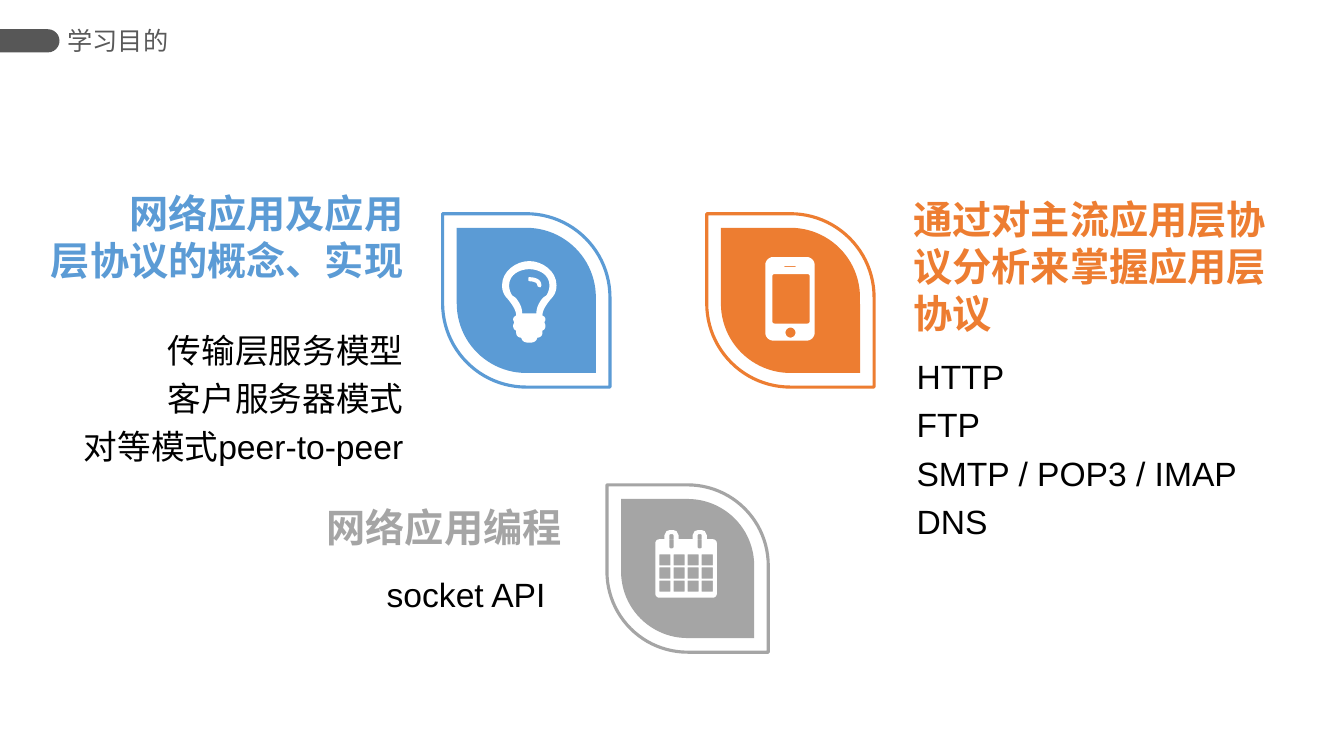
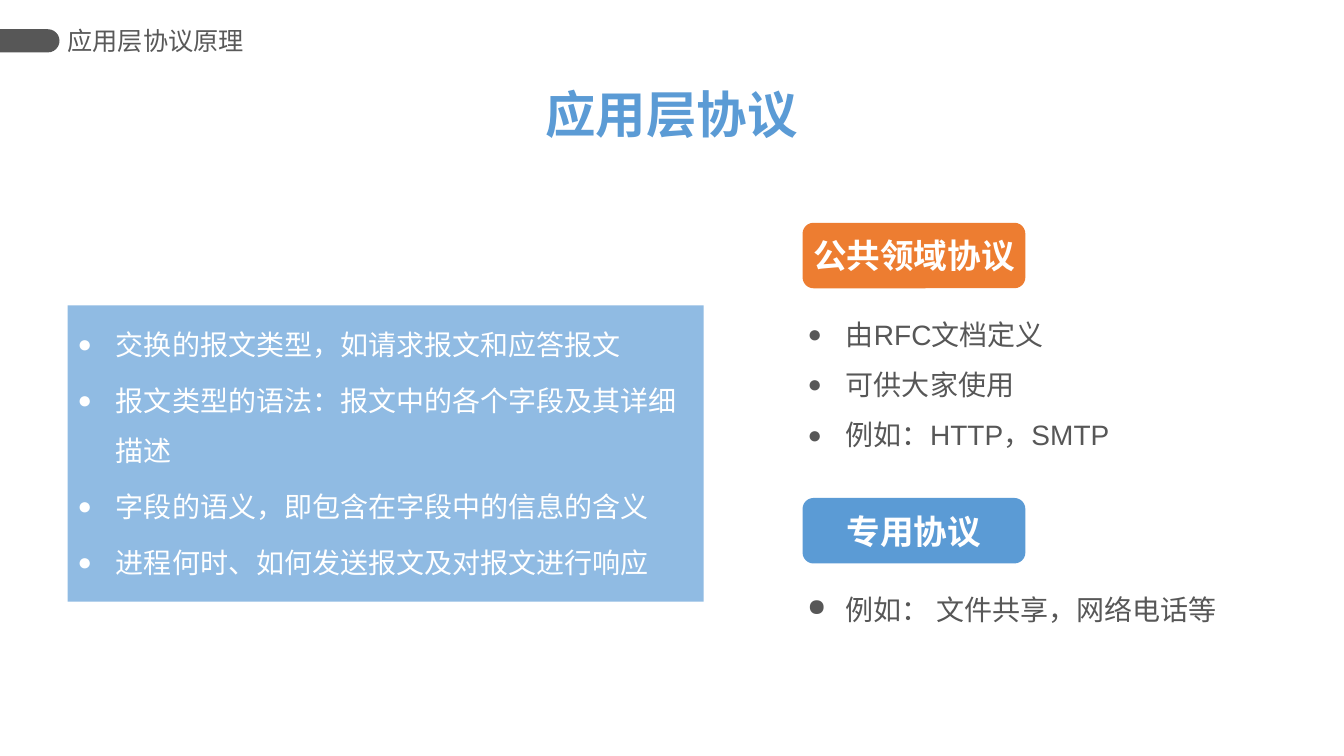
from lxml import etree
from pptx import Presentation
from pptx.dml.color import RGBColor
from pptx.enum.lang import MSO_LANGUAGE_ID
from pptx.enum.shapes import MSO_SHAPE
from pptx.enum.text import MSO_ANCHOR, MSO_AUTO_SIZE, PP_ALIGN
from pptx.oxml.ns import qn
from pptx.util import Inches, Pt
from math import cos, pi, sin

LEFT, MID, RIGHT = PP_ALIGN.LEFT, PP_ALIGN.CENTER, PP_ALIGN.RIGHT
TOP, CENTER, BOTTOM = MSO_ANCHOR.TOP, MSO_ANCHOR.MIDDLE, MSO_ANCHOR.BOTTOM
LEAF = MSO_SHAPE.ROUND_2_DIAG_RECTANGLE
BAND = MSO_SHAPE.ROUND_2_SAME_RECTANGLE
PILL = MSO_SHAPE.ROUNDED_RECTANGLE
CHINESE = MSO_LANGUAGE_ID.SIMPLIFIED_CHINESE


class Theme:
    font = "Arial"
    blue, orange, gray = "5B9BD5", "ED7D31", "A5A5A5"
    pale, white, black = "90BBE3", "FFFFFF", "000000"
    dark, title = "575757", "595959"
    top, list, note, head, main = 18, 24, 20, 28, 36


# ---- Content: boxes are left, top, width, height in inches ----
GOALS = [
    dict(color=Theme.blue, leaf=(4.36, 2.15, 1.72, 1.66), icon="bulb",
         head=["网络应用及应用", "层协议的概念、实现"],
         head_at=(0.3, 1.81, 4.09, 1), head_fmt=dict(align=RIGHT, anchor=BOTTOM),
         items=["传输层服务模型", "客户服务器模式", "对等模式peer-to-peer"],
         list_at=(0.36, 3.14, 4.03, 1.6), list_fmt=dict(align=RIGHT),
         pad=(0.1, 0.39)),
    dict(color=Theme.orange, leaf=(6.98, 2.15, 1.72, 1.66), icon="phone",
         head=["通过对主流应用层协议分析来掌握应用层协议"],
         head_at=(8.67, 1.93, 4.32, 1.41), head_fmt=dict(anchor=CENTER),
         items=["HTTP", "FTP", "SMTP / POP3 / IMAP", "DNS"],
         list_at=(8.7, 3.41, 4.63, 2), list_fmt=dict(anchor=CENTER),
         pad=(0.39, 0.24)),
    dict(color=Theme.gray, leaf=(5.99, 4.84, 1.66, 1.6), icon="calendar",
         head=["网络应用编程"],
         head_at=(2.5, 4.86, 3.46, 0.6), head_fmt=dict(align=RIGHT, anchor=BOTTOM),
         items=["socket API"],
         list_at=(2.19, 5.56, 3.61, 0.77), list_fmt=dict(align=RIGHT),
         pad=(0.1, 0.39)),
]
PARTS = ["交换的报文类型，如请求报文和应答报文",
         "报文类型的语法：报文中的各个字段及其详细描述",
         "字段的语义，即包含在字段中的信息的含义",
         "进程何时、如何发送报文及对报文进行响应"]
KINDS = [
    ("公共领域协议", Theme.orange, 2.21, 1.62,
     ["由RFC文档定义", "可供大家使用", "例如：HTTP，SMTP"]),
    ("专用协议", Theme.blue, 4.94, 0.55, ["例如： 文件共享，网络电话等"]),
]

# Bulb outlines: a start point, then cubic curves; x counts from the axis
GLASS = [(0, 0), (.13, 0), (.27, .1), (.27, .24), (.27, .3), (.25, .34), (.21, .38),
         (.18, .42), (.13, .48), (.13, .54), (.15, .55), (.16, .56), (.16, .58),
         (.16, .59), (.15, .6), (.15, .61), (.15, .61), (.16, .63), (.16, .64),
         (.16, .67), (.15, .68), (.13, .69), (.13, .69), (.13, .71), (.13, .71),
         (.13, .74), (.11, .76), (.08, .76), (.07, .8), (.04, .81), (0, .81)]
HOLLOW = [(0, .08), (.09, .08), (.2, .13), (.2, .24), (.2, .27), (.19, .31), (.17, .34),
          (.16, .35), (.15, .35), (.13, .37), (.09, .42), (.07, .47), (.07, .52)]
GLINT = [(.11, .26), (.09, .26), (.08, .25), (.08, .24), (.08, .21), (.03, .2), (0, .2),
         (-.01, .2), (-.01, .18), (-.01, .17), (-.01, .17), (-.01, .16), (0, .16),
         (.06, .16), (.12, .18), (.12, .24), (.12, .25), (.11, .26), (.11, .26)]


# ---- Outlines ----
def curve(pts, steps=8):
    out = [pts[0]]
    for i in range(0, len(pts) - 1, 3):
        a, b, c, d = pts[i:i + 4]
        for k in range(1, steps + 1):
            t = k / steps
            u = 1 - t
            out.append(tuple(u**3 * p + 3 * u * u * t * q + 3 * u * t * t * r + t**3 * s
                             for p, q, r, s in zip(a, b, c, d)))
    return out


def mirror(pts):
    half = curve(pts)
    return half + [(-x, y) for x, y in reversed(half)]


def rounded(x, y, w, h, r=0):
    if not r:
        return [(x, y), (x + w, y), (x + w, y + h), (x, y + h)]
    hubs = [(x + w - r, y + h - r), (x + r, y + h - r), (x + r, y + r), (x + w - r, y + r)]
    return [(cx + r * cos((q + k / 6) * pi / 2), cy + r * sin((q + k / 6) * pi / 2))
            for q, (cx, cy) in enumerate(hubs) for k in range(7)]


def bulb():
    loops = [mirror(GLASS), mirror(HOLLOW), curve(GLINT)]
    return [[(5.25 + x, 2.59 + y) for x, y in loop] for loop in loops]


def phone():
    return [rounded(7.59, 2.55, .49, .83, .08), rounded(7.66, 2.72, .37, .49, .02),
            rounded(7.78, 2.64, .11, .01), rounded(7.79, 3.25, .1, .1, .05)]


def calendar():
    loops = [rounded(6.5, 5.35, .61, .58, .04)]
    for x in (6.59, 6.87):
        loops.append([(x, 5.35), (x, 5.31), (x + .02, 5.27), (x + .05, 5.26),
                      (x + .09, 5.26), (x + .12, 5.27), (x + .14, 5.31), (x + .14, 5.35)])
        loops.append(rounded(x + .05, 5.3, .04, .14, .01))
    loops += [rounded(6.54 + .14 * col, 5.5 + .13 * row, .11, .11)
              for row in range(3) for col in range(4)]
    return loops


ICONS = dict(bulb=bulb, phone=phone, calendar=calendar)


# ---- Helpers ----
def paint(shape, fill=None, line=None):
    shape.shadow.inherit = False
    if fill:
        shape.fill.solid()
        shape.fill.fore_color.rgb = RGBColor.from_string(fill)
    else:
        shape.fill.background()
    if line:
        shape.line.color.rgb = RGBColor.from_string(line)
        shape.line.width = Pt(2.25)
    else:
        shape.line.fill.background()


def place(shape, at):
    shape.left, shape.top, shape.width, shape.height = map(Inches, at)
    return shape


def add(slide, kind, at, fill=None, line=None, turn=0):
    shape = slide.shapes.add_shape(kind, *map(Inches, at))
    shape.rotation = turn
    paint(shape, fill, line)
    return shape


def box(slide, at):
    return slide.shapes.add_textbox(*map(Inches, at))


def mark(para, char):
    props = para._p.get_or_add_pPr()
    indent = Inches(0.38) if char else 0
    props.set("marL", str(indent))
    props.set("indent", str(-indent))
    if char:
        etree.SubElement(props, qn("a:buSzPct")).set("val", "85000")
        etree.SubElement(props, qn("a:buChar")).set("char", char)
    else:
        etree.SubElement(props, qn("a:buNone"))


def write(shape, lines, size, color, bold=False, align=LEFT, anchor=TOP,
          pad=(0.1, 0.1), edge=0.05, gap=1, before=0, bullet=None):
    frame = shape.text_frame
    frame.word_wrap = True
    frame.auto_size = MSO_AUTO_SIZE.NONE
    frame.vertical_anchor = anchor
    frame.margin_left, frame.margin_right = map(Inches, pad)
    frame.margin_top = frame.margin_bottom = Inches(edge)
    for i, text in enumerate(lines):
        para = frame.add_paragraph() if i else frame.paragraphs[0]
        para.alignment = align
        para.line_spacing = gap
        para.space_before = Pt(before)
        mark(para, bullet)
        run = para.add_run()
        run.text = text
        font = run.font
        font.name, font.size, font.bold = Theme.font, Pt(size), bold
        font.color.rgb = RGBColor.from_string(color)
        font.language_id = CHINESE


def draw(slide, loops):
    to_emu = lambda loop: [(Inches(x), Inches(y)) for x, y in loop]
    first, *rest = map(to_emu, loops)
    pen = slide.shapes.build_freeform(*first[0])
    pen.add_line_segments(first[1:], close=True)
    for loop in rest:
        pen.move_to(*loop[0])
        pen.add_line_segments(loop[1:], close=True)
    paint(pen.convert_to_shape(), Theme.white)


def start(deck, title):
    slide = deck.slides.add_slide(deck.slide_layouts[3])
    head = place(slide.shapes.title, (0.67, 0.19, 2.33, 0.42))
    write(head, [title], Theme.top, Theme.title, anchor=CENTER, pad=(0, 0))
    return slide


# ---- Slides ----
def goals(deck):
    slide = start(deck, "学习目的")
    # The band at the top left belongs to the shared layout
    band = add(slide, BAND, (0.18, 0.11, 0.23, 0.59), Theme.dark, turn=90)
    band.adjustments[0] = 0.5
    slide.slide_layout.shapes.element.append(band.element)

    bodies = [slide.placeholders[1], slide.placeholders[2]]
    for goal in GOALS:
        color = goal["color"]
        x, y, w, h = goal["leaf"]
        rim = 0.14
        inner = (x + rim, y + rim, w - 2 * rim, h - 2 * rim)
        for at, fill, line in ((goal["leaf"], None, color), (inner, color, None)):
            leaf = add(slide, LEAF, at, fill, line, turn=270)
            leaf.adjustments[0] = 0.5
        draw(slide, ICONS[goal["icon"]]())
        pad = goal["pad"]
        write(box(slide, goal["head_at"]), goal["head"], Theme.head, color, bold=True,
              pad=pad, edge=0, **goal["head_fmt"])
        at = goal["list_at"]
        body = place(bodies.pop(0), at) if bodies else box(slide, at)
        write(body, goal["items"], Theme.list, Theme.black, pad=pad, gap=1.2,
              **goal["list_fmt"])


def rules(deck):
    slide = start(deck, "应用层协议原理")
    write(box(slide, (5.16, 0.78, 3, 0.71)), ["应用层协议"], Theme.main, Theme.blue,
          bold=True, align=MID)
    # What a protocol defines
    panel = place(slide.placeholders[1], (0.67, 3.03, 6.31, 2.94))
    panel.fill.solid()
    panel.fill.fore_color.rgb = RGBColor.from_string(Theme.pale)
    write(panel, PARTS, Theme.note, Theme.white, gap=1.5, before=4, bullet="●")
    # Two kinds of protocol
    bodies = [slide.placeholders[2]]
    for name, color, top, tall, items in KINDS:
        pill = add(slide, PILL, (7.96, top, 2.21, 0.65), color)
        write(pill, [name], Theme.list, Theme.white, bold=True, align=MID,
              anchor=CENTER, pad=(0, 0), edge=0)
        at = (7.91, top + 0.72, 4.82, tall)
        body = place(bodies.pop(), at) if bodies else box(slide, at)
        write(body, items, Theme.note, Theme.dark, gap=1.5, bullet="●")


def main():
    deck = Presentation()
    deck.slide_width, deck.slide_height = Inches(13.33), Inches(7.5)
    goals(deck)
    rules(deck)
    deck.save("out.pptx")


if __name__ == "__main__":
    main()
